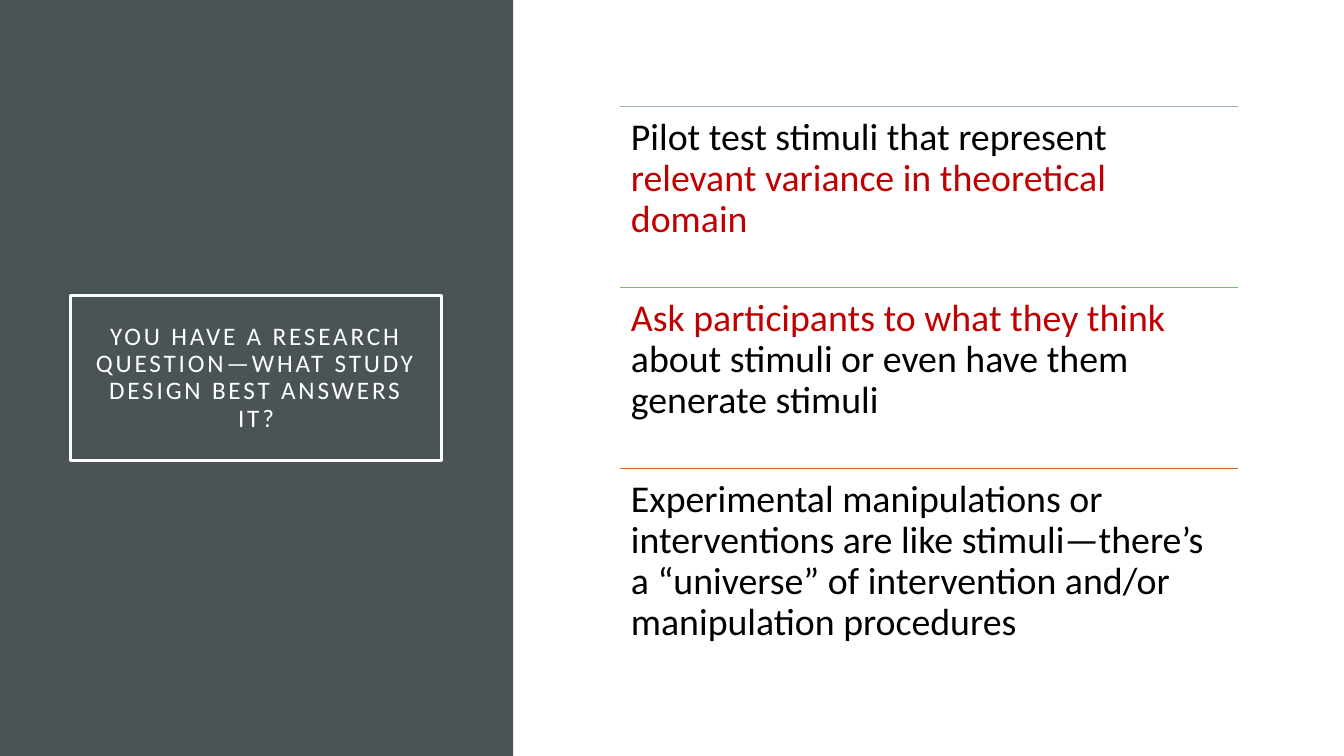
from lxml.etree import SubElement
from pptx import Presentation
from pptx.dml.color import RGBColor
from pptx.enum.shapes import MSO_CONNECTOR, MSO_SHAPE
from pptx.enum.text import MSO_ANCHOR, MSO_AUTO_SIZE, PP_ALIGN
from pptx.oxml.ns import qn
from pptx.util import Pt

TITLE = "YOU HAVE A RESEARCH QUESTION—WHAT STUDY DESIGN BEST ANSWERS IT?"
BLACK, RED, WHITE = "000000", "C00000", "FFFFFF"
POINTS = [
    ("9BAFB5", [("Pilot test stimuli that represent ", BLACK),
                ("relevant variance in theoretical domain", RED)]),
    ("7ABC69", [("Ask participants to what they think ", RED),
                ("about stimuli or even have them generate stimuli", BLACK)]),
    ("C96731", [("Experimental manipulations or interventions are like stimuli—there’s "
                 "a “universe” of intervention and/or manipulation procedures", BLACK)]),
]


def rgb(value):
    """Turn a hex string into a colour."""
    return RGBColor.from_string(value)


def set_frame(tf, inset, anchor):
    """Wrap a text frame and give it equal insets."""
    tf.word_wrap = True
    tf.auto_size = MSO_AUTO_SIZE.NONE
    tf.vertical_anchor = anchor
    tf.margin_left = tf.margin_right = tf.margin_top = tf.margin_bottom = Pt(inset)


def add_run(p, text, size, color):
    """Add one formatted run to a paragraph."""
    r = p.add_run()
    r.text = text
    r.font.name = "Calibri"
    r.font.size = Pt(size)
    r.font.color.rgb = rgb(color)
    return r


def add_title_panel(s, x, y, w, h):
    """Draw the dark panel with the framed title in it."""
    panel = s.shapes.add_shape(MSO_SHAPE.RECTANGLE, Pt(x), Pt(y), Pt(w), Pt(h))
    panel.shadow.inherit = False
    panel.fill.solid()
    panel.fill.fore_color.rgb = rgb("4A5356")
    panel.line.fill.background()
    s.shapes.title.element.addprevious(panel.element)

    title = s.shapes.title
    title.left, title.top = Pt(x + 50.4), Pt(y + 211)
    title.width, title.height = Pt(265), Pt(118)
    title.line.color.rgb = rgb(WHITE)
    title.line.width = Pt(2.5)
    tf = title.text_frame
    set_frame(tf, 14.4, MSO_ANCHOR.MIDDLE)
    p = tf.paragraphs[0]
    p.alignment = PP_ALIGN.CENTER
    p.line_spacing = 0.9
    r = add_run(p, TITLE, 18, WHITE)
    r.font._element.set("spc", "200")


def add_points(s, x, y, w, h):
    """Stack the ruled points in equal rows."""
    row_h = h / len(POINTS)
    for i, (line_color, runs) in enumerate(POINTS):
        top = Pt(y + i * row_h)
        rule = s.shapes.add_connector(MSO_CONNECTOR.STRAIGHT, Pt(x), top, Pt(x + w), top)
        rule.line.color.rgb = rgb(line_color)
        rule.line.width = Pt(1)
        SubElement(rule.element.spPr, qn("a:effectLst"))

        sp = s.shapes.add_textbox(Pt(x), top, Pt(w), Pt(row_h))
        set_frame(sp.text_frame, 8.1, MSO_ANCHOR.TOP)
        p = sp.text_frame.paragraphs[0]
        p.line_spacing = 0.9
        for text, color in runs:
            add_run(p, text, 27, color)


def main():
    """Build and save the slide."""
    prs = Presentation()
    prs.slide_width, prs.slide_height = Pt(960), Pt(540)
    s = prs.slides.add_slide(prs.slide_layouts[5])
    add_title_panel(s, 0, 0, 366.5, 540)
    add_points(s, 442.6, 76.2, 441.4, 387.6)
    prs.save("out.pptx")


if __name__ == "__main__":
    main()
